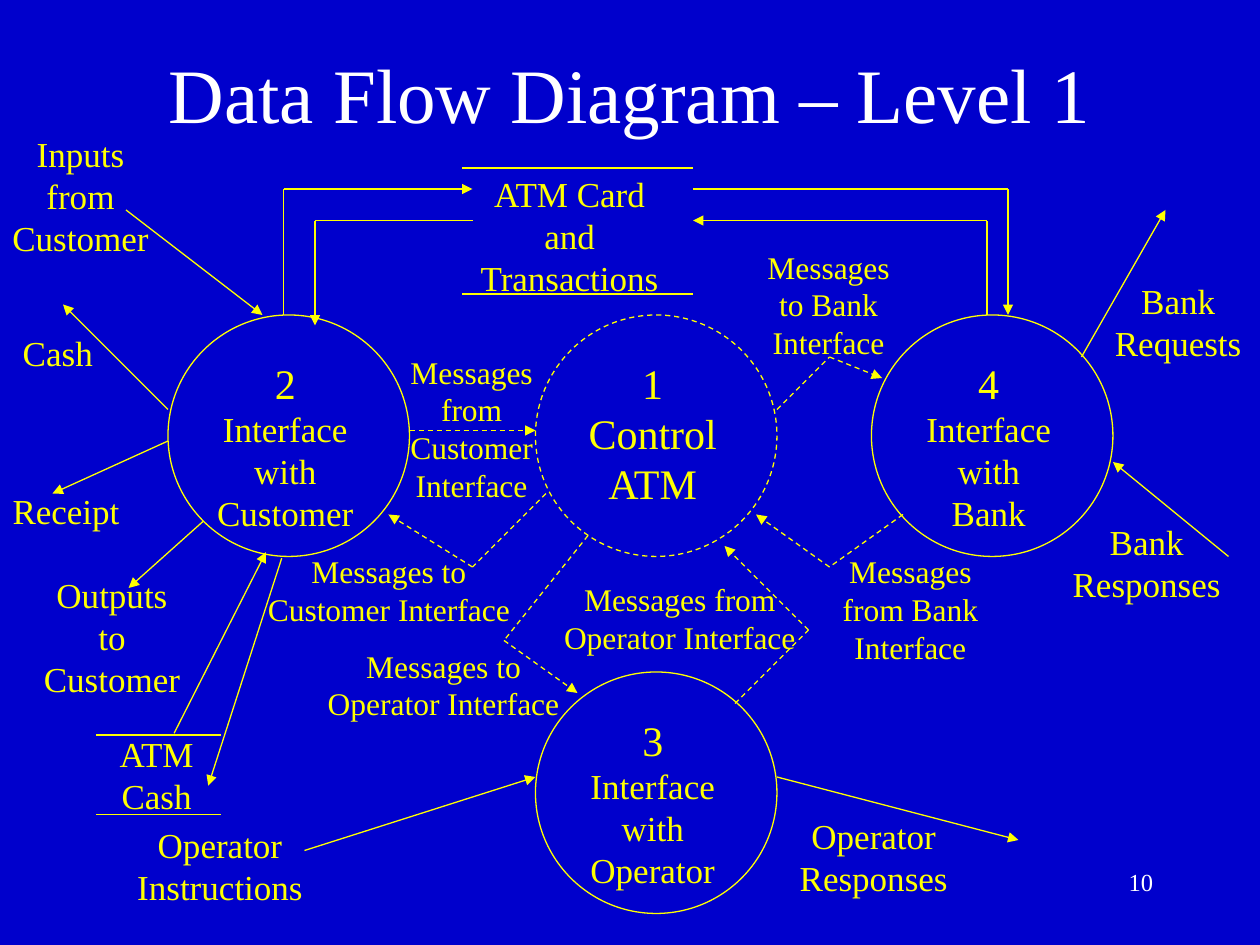
import itertools

import pptx
import pptx.dml.color
import pptx.enum.dml
import pptx.enum.shapes
import pptx.enum.text
import pptx.oxml
import pptx.oxml.ns
import pptx.util

Pt = pptx.util.Pt
RGBColor = pptx.dml.color.RGBColor
ALIGN = pptx.enum.text.PP_ALIGN
DASH = pptx.enum.dml.MSO_LINE.DASH
SHAPES = pptx.enum.shapes

BLUE = RGBColor(0x00, 0x00, 0xCC)
YELLOW = RGBColor(0xFF, 0xFF, 0x00)
WHITE = RGBColor(0xFF, 0xFF, 0xFF)
FONT = "Times New Roman"
LINE_WIDTH = 0.75
CIRCLE = 138

# Processes: left, top, text width, number, name, size, dashed
PROCESSES = [
    (96, 180, 92, "2", "Interface\nwith\nCustomer", 20, False),
    (498, 180, 86, "4", "Interface\nwith\nBank", 20, False),
    (306, 384, 86, "3", "Interface\nwith\nOperator", 20, False),
    (306, 180, 88, "1", "Control\nATM", 24, True),
]

# Data stores: box between the rules, label left, top and width inside it, name
STORES = [
    ((264, 96, 132, 72), (3, -1, 117), "ATM Card\nand\nTransactions"),
    ((55, 420, 71, 45.5), (5, -5, 59), "ATM\nCash"),
]

# Labels: left, top, width, text
DATA_LABELS = [
    (0, 72, 92, "Inputs\nfrom\nCustomer"),
    (6, 186, 54, "Cash"),
    (0, 276, 75.5, "Receipt"),
    (18, 324, 92, "Outputs\nto\nCustomer"),
    (71.5, 467, 108.5, "Operator\nInstructions"),
    (450, 462, 98.5, "Operator\nResponses"),
    (630, 156, 86.5, "Bank\nRequests"),
    (606, 294, 98.5, "Bank\nResponses"),
]
MESSAGE_LABELS = [
    (227.5, 198, 84, "Messages\nfrom\nCustomer\nInterface"),
    (146, 312, 152.5, "Messages to\nCustomer Interface"),
    (315, 328, 147, "Messages from\nOperator Interface"),
    (180, 366, 147, "Messages to\nOperator Interface"),
    (431.5, 138, 84, "Messages\nto Bank\nInterface"),
    (474.5, 312, 91.5, "Messages\nfrom Bank\nInterface"),
]

# Flows: points in order, with the arrowhead at the last one
DATA_FLOWS = [
    [(174, 486), (306, 444)],
    [(444, 444), (582, 480)],
    [(702, 318), (636, 264)],
    [(618, 204), (666, 120)],
    [(72, 120), (150, 180)],
    [(96, 234), (36, 174)],
    [(96, 252), (30, 282)],
    [(116, 298), (73.5, 336)],
    [(99.5, 419), (152, 315.5)],
    [(161, 319), (119, 449)],
    [(396, 108), (576, 108), (576, 180)],
    [(564, 180), (564, 126), (396, 126)],
    [(162, 180), (162, 108), (270, 108)],
    [(270, 126), (180, 126), (180, 186)],
]
MESSAGE_FLOWS = [
    [(234, 246), (306, 246)],
    [(312, 282), (270, 324), (222, 294)],
    [(336, 306), (288, 366), (330, 396)],
    [(516, 294), (474, 324), (432, 294)],
    [(444, 234), (474, 204), (504, 216)],
    [(420, 402), (462, 360), (414, 312)],
]


def set_font(p, size, color=YELLOW, align=ALIGN.CENTER):
    p.alignment = align
    p.font.name = FONT
    p.font.size = Pt(size)
    p.font.color.rgb = color


def style_line(line, dashed):
    line.color.rgb = YELLOW
    line.width = Pt(LINE_WIDTH)
    if dashed:
        line.dash_style = DASH


def add_label(s, x, y, w, text, sizes):
    """Centred, unwrapped lines with one size for each line."""
    h = 7.2 + 1.2 * sum(sizes)
    box = s.shapes.add_textbox(Pt(x), Pt(y), Pt(w), Pt(h))
    tf = box.text_frame
    tf.text = text
    tf.word_wrap = False
    tf.margin_left = tf.margin_right = Pt(5)
    tf.auto_size = pptx.enum.text.MSO_AUTO_SIZE.SHAPE_TO_FIT_TEXT
    for p, size in zip(tf.paragraphs, sizes):
        set_font(p, size)


def add_segment(s, start, end, dashed=False, arrow=False):
    c = s.shapes.add_connector(SHAPES.MSO_CONNECTOR.STRAIGHT,
                               *map(Pt, start + end))
    style_line(c.line, dashed)
    if arrow:
        ln = c.line._get_or_add_ln()
        tail = pptx.oxml.ns.qn("a:tailEnd")
        ln.append(ln.makeelement(tail, {"type": "triangle"}))
    sp_pr = c._element.spPr
    sp_pr.append(sp_pr.makeelement(pptx.oxml.ns.qn("a:effectLst"), {}))


def add_flow(s, points, dashed):
    for start, end in itertools.pairwise(points):
        add_segment(s, start, end, dashed, arrow=end == points[-1])


def add_process(s, x, y, text_w, number, name, size, dashed):
    sp = s.shapes.add_shape(SHAPES.MSO_SHAPE.OVAL, Pt(x), Pt(y),
                            Pt(CIRCLE), Pt(CIRCLE))
    sp.shadow.inherit = False
    sp.fill.background()
    style_line(sp.line, dashed)
    sizes = [24] + [size] * len(name.split("\n"))
    add_label(s, x + (CIRCLE - text_w) / 2 - 2, y + 20.5, text_w,
              number + "\n" + name, sizes)


def add_store(s, box, label, name):
    x, y, w, h = box
    dx, dy, label_w = label
    for rule_y in (y, y + h):
        add_segment(s, (x, rule_y), (x + w, rule_y))
    add_label(s, x + dx, y + dy, label_w, name, [20] * len(name.split("\n")))


def add_title(s, x, y, w, h):
    title = s.shapes.title
    title.left, title.top, title.width, title.height = map(Pt, (x, y, w, h))
    tf = title.text_frame
    tf.text = "Data Flow Diagram – Level 1"
    tf.vertical_anchor = pptx.enum.text.MSO_ANCHOR.MIDDLE
    set_font(tf.paragraphs[0], 44, WHITE)


def add_page_number(s, x, y, w, h):
    tf = s.shapes.add_textbox(*map(Pt, (x, y, w, h))).text_frame
    tf.text = "10"
    tf.word_wrap = True
    set_font(tf.paragraphs[0], 14, WHITE, ALIGN.RIGHT)


def main():
    prs = pptx.Presentation()
    prs.slide_width, prs.slide_height = Pt(720), Pt(540)
    s = prs.slides.add_slide(prs.slide_layouts[5])
    s.background.fill.solid()
    s.background.fill.fore_color.rgb = BLUE

    add_title(s, 54, 8, 612, 90)
    for process in PROCESSES:
        add_process(s, *process)
    for store in STORES:
        add_store(s, *store)

    # Data in solid lines, messages in dashed lines
    for flows, dashed in ((DATA_FLOWS, False), (MESSAGE_FLOWS, True)):
        for points in flows:
            add_flow(s, points, dashed)
    for labels, size in ((DATA_LABELS, 20), (MESSAGE_LABELS, 18)):
        for x, y, w, text in labels:
            add_label(s, x, y, w, text, [size] * len(text.split("\n")))

    add_page_number(s, 516, 492, 150, 36)
    prs.save("out.pptx")


if __name__ == "__main__":
    main()
